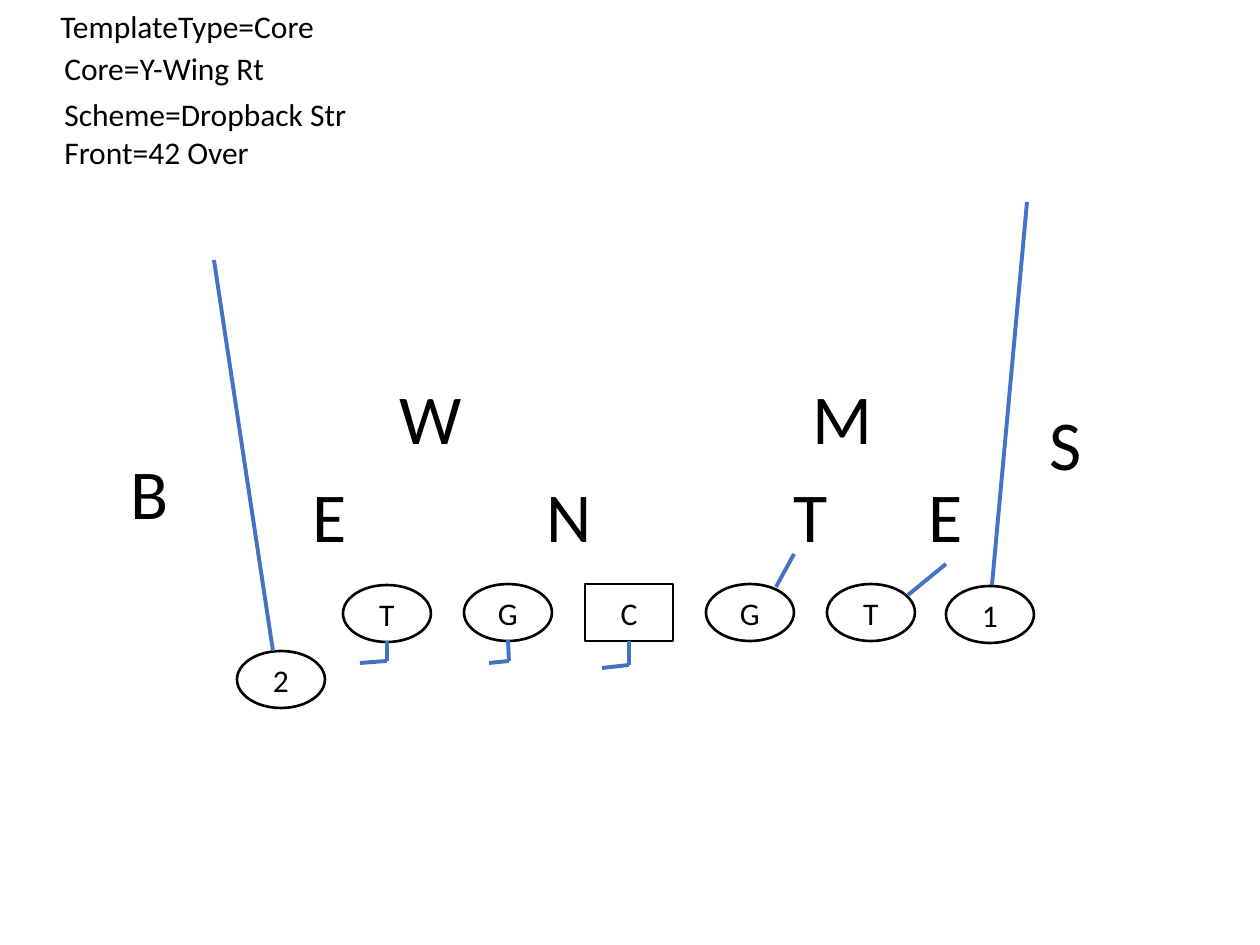
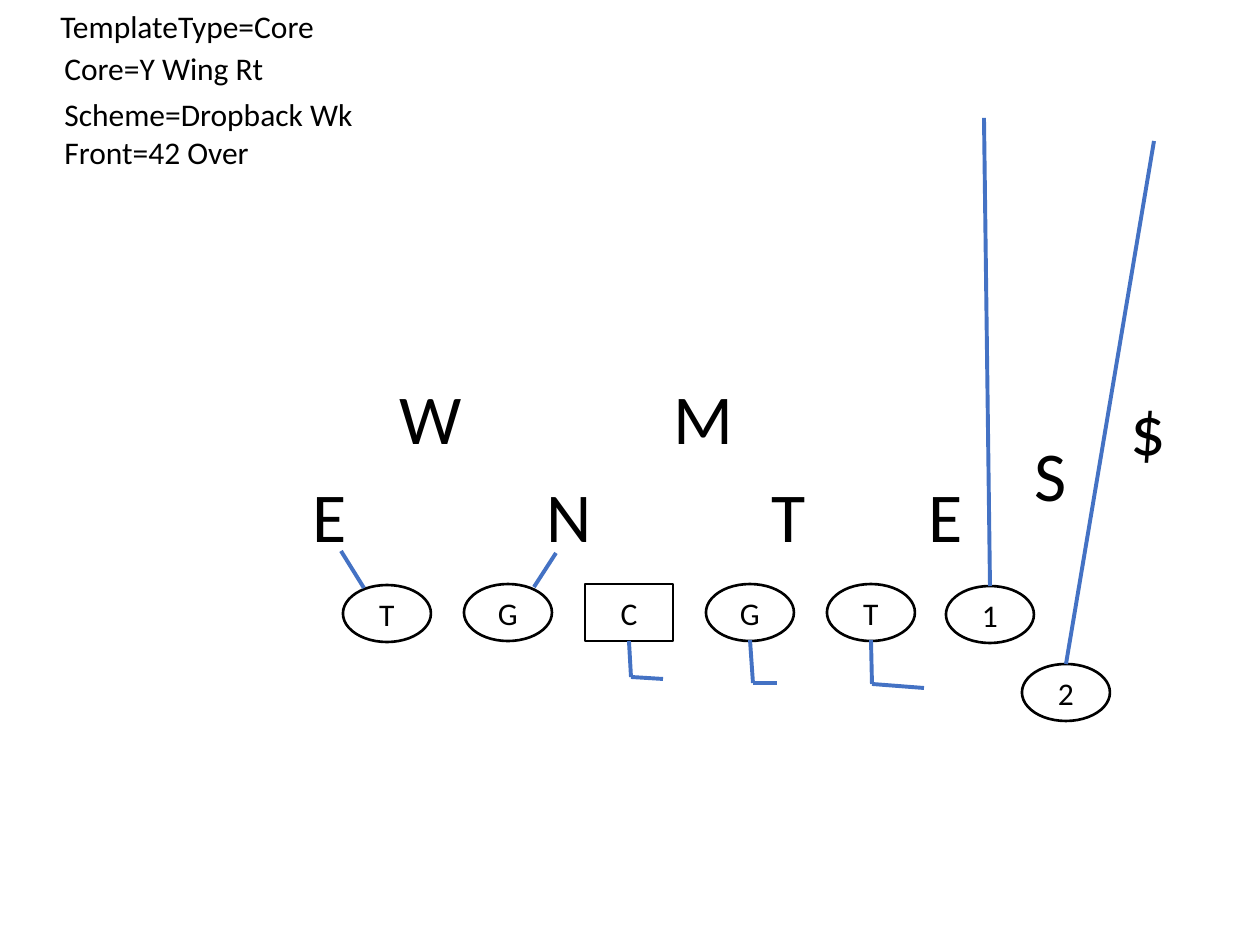
from dataclasses import dataclass
from itertools import pairwise

from lxml.etree import SubElement
from pptx import Presentation
from pptx.dml.color import RGBColor as RGB
from pptx.enum.shapes import MSO_CONNECTOR as CONN, MSO_SHAPE as SHAPE
from pptx.enum.text import MSO_ANCHOR as ANCHOR, MSO_AUTO_SIZE as AUTO, PP_ALIGN as ALIGN
from pptx.oxml.ns import qn
from pptx.util import Pt


@dataclass(frozen=True)
class Theme:
    font: str = "Calibri"
    ink: RGB = RGB(0, 0, 0)
    paper: RGB = RGB(255, 255, 255)
    route: RGB = RGB(0x44, 0x72, 0xC4)
    body: int = 18
    letter: int = 40
    outline: float = 1.5
    route_width: float = 2.25


theme = Theme()
SCALE = 914400 / 126


def px(*lengths):
    return [round(n * SCALE) for n in lengths]


def write(sp, text, size):
    tf = sp.text_frame
    tf.text = text
    font = tf.paragraphs[0].runs[0].font
    font.name, font.size = theme.font, Pt(size)
    font.color.rgb = theme.ink
    return tf


PLAYER_W, PLAYER_H = 88, 57
LINE_LEFT, LINE_PITCH = 343, 121
LINE_TOPS = {"LT": 585, "LG": 584, "C": 584, "RG": 584, "RT": 584}
line_spots = {
    name: (LINE_LEFT + i * LINE_PITCH, top)
    for i, (name, top) in enumerate(LINE_TOPS.items())
}
line_spots["1"] = (946, 586)

HEADER_H, LETTER_H = 50, 97
FRONT_Y, BACKER_Y = 466, 368
LETTER_W = {"N": 71, "W": 88, "M": 88, "B": 64, "$": 62}
shared_defence = [("E", 300, FRONT_Y), ("N", 534, FRONT_Y),
                  ("E", 916, FRONT_Y), ("W", 387, BACKER_Y)]
TOP, BOTTOM = 0, 2

plays = [
    {
        "core": ("Core=Y-Wing Rt", 229),
        "scheme": ("Scheme=Dropback Str", 310),
        "front": ("Front=42 Over", 212),
        "wing": (237, 651),
        "defence": [("T", 781, FRONT_Y), ("M", 800, BACKER_Y),
                    ("S", 1037, 394), ("B", 118, 443)],
        "routes": [
            [(794, 554), (776, 587)],
            [(946, 564), (908, 595)],
            [(508, 640), (509, 661), (489, 663)],
            [(387, 641), (387, 661), (360, 663)],
            [(1027, 202), (992, 585)],
            [(214, 260), (273, 651)],
        ],
        "joined": [("C", BOTTOM, [(629, 641), (629, 665), (602, 668)])],
    },
    {
        "core": ("Core=Y Wing Rt", 227),
        "scheme": ("Scheme=Dropback Wk", 318),
        "front": ("Front=42 Over", 219),
        "wing": (1022, 664),
        "defence": [("T", 759, FRONT_Y), ("M", 661, BACKER_Y),
                    ("S", 1022, 425), ("$", 1118, 379)],
        "routes": [
            [(750, 640), (753, 683), (777, 683)],
            [(871, 640), (872, 684), (924, 688)],
            [(341, 551), (364, 588)],
            [(556, 553), (534, 587)],
        ],
        "joined": [
            ("C", BOTTOM, [(629, 641), (631, 677), (663, 679)]),
            ("1", TOP, [(990, 586), (984, 118)]),
            ("2", TOP, [(1066, 664), (1154, 141)]),
        ],
    },
]

prs = Presentation()
prs.slide_width, prs.slide_height = px(1260, 945)

for play in plays:
    s = prs.slides.add_slide(prs.slide_layouts[6])

    players = {}
    for name, (x, y) in (line_spots | {"2": play["wing"]}).items():
        kind = SHAPE.RECTANGLE if name == "C" else SHAPE.OVAL
        sp = s.shapes.add_shape(kind, *px(x, y, PLAYER_W, PLAYER_H))
        sp.shadow.inherit = False
        sp.fill.solid()
        sp.fill.fore_color.rgb = theme.paper
        sp.line.color.rgb = theme.ink
        sp.line.width = Pt(theme.outline)
        tf = write(sp, name[-1], theme.body)
        tf.vertical_anchor = ANCHOR.MIDDLE
        tf.paragraphs[0].alignment = ALIGN.CENTER
        players[name] = sp

    labels = [("TemplateType=Core", 48, 1, 282, HEADER_H, theme.body)]
    for key, y in (("core", 43), ("scheme", 89), ("front", 127)):
        text, width = play[key]
        labels.append((text, 52, y, width, HEADER_H, theme.body))
    for text, x, y in shared_defence + play["defence"]:
        labels.append((text, x, y, LETTER_W.get(text, 60), LETTER_H, theme.letter))
    for text, x, y, w, h, size in labels:
        tf = write(s.shapes.add_textbox(*px(x, y, w, h)), text, size)
        tf.word_wrap = False
        tf.auto_size = AUTO.SHAPE_TO_FIT_TEXT

    routes = [(None, None, points) for points in play["routes"]] + play["joined"]
    for name, site, points in routes:
        for i, (start, end) in enumerate(pairwise(points)):
            line = s.shapes.add_connector(CONN.STRAIGHT, *px(*start, *end))
            line.line.color.rgb = theme.route
            line.line.width = Pt(theme.route_width)
            SubElement(line._element.spPr, qn("a:effectLst"))
            if name and i == 0:
                line.begin_connect(players[name], site)

prs.save("out.pptx")
